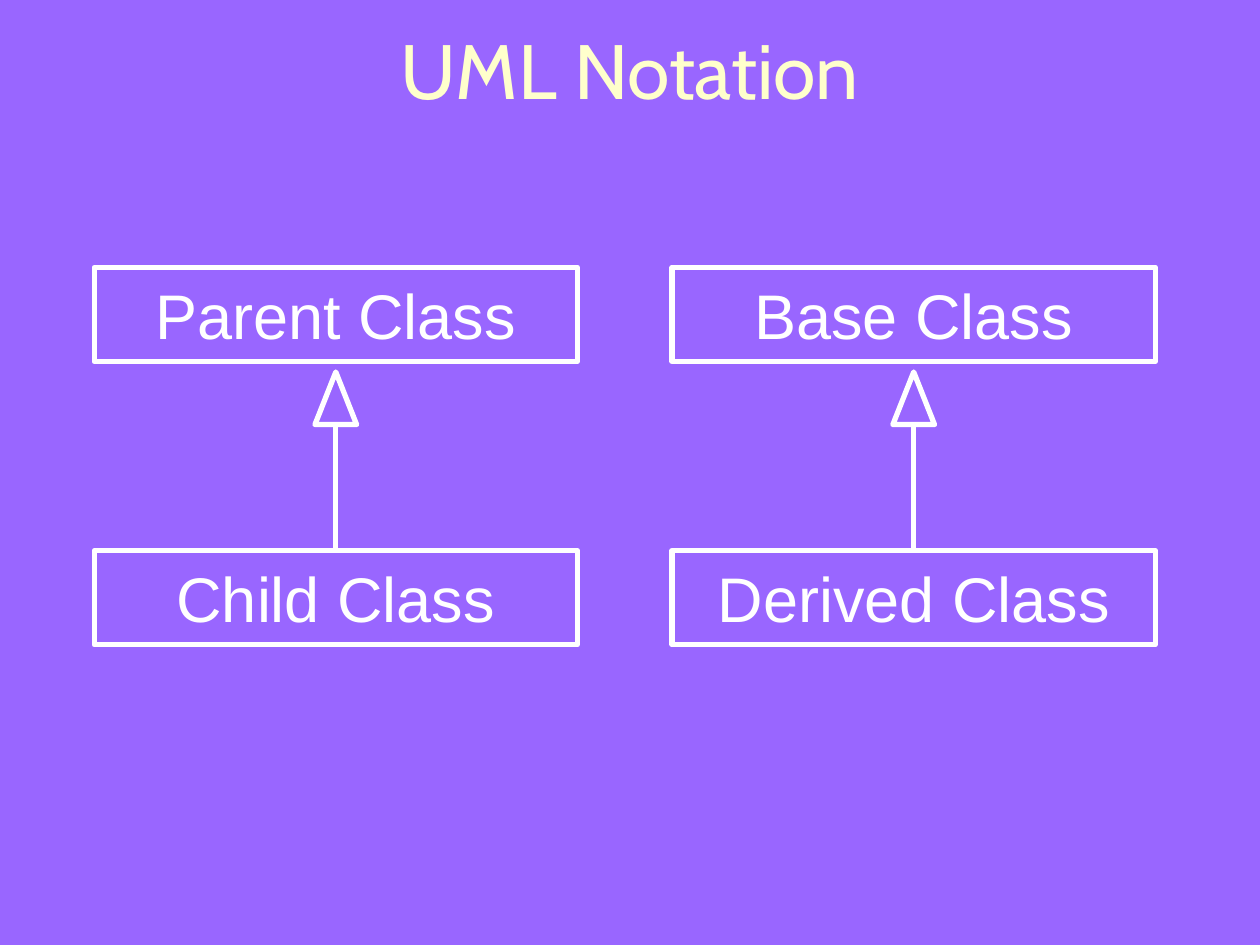
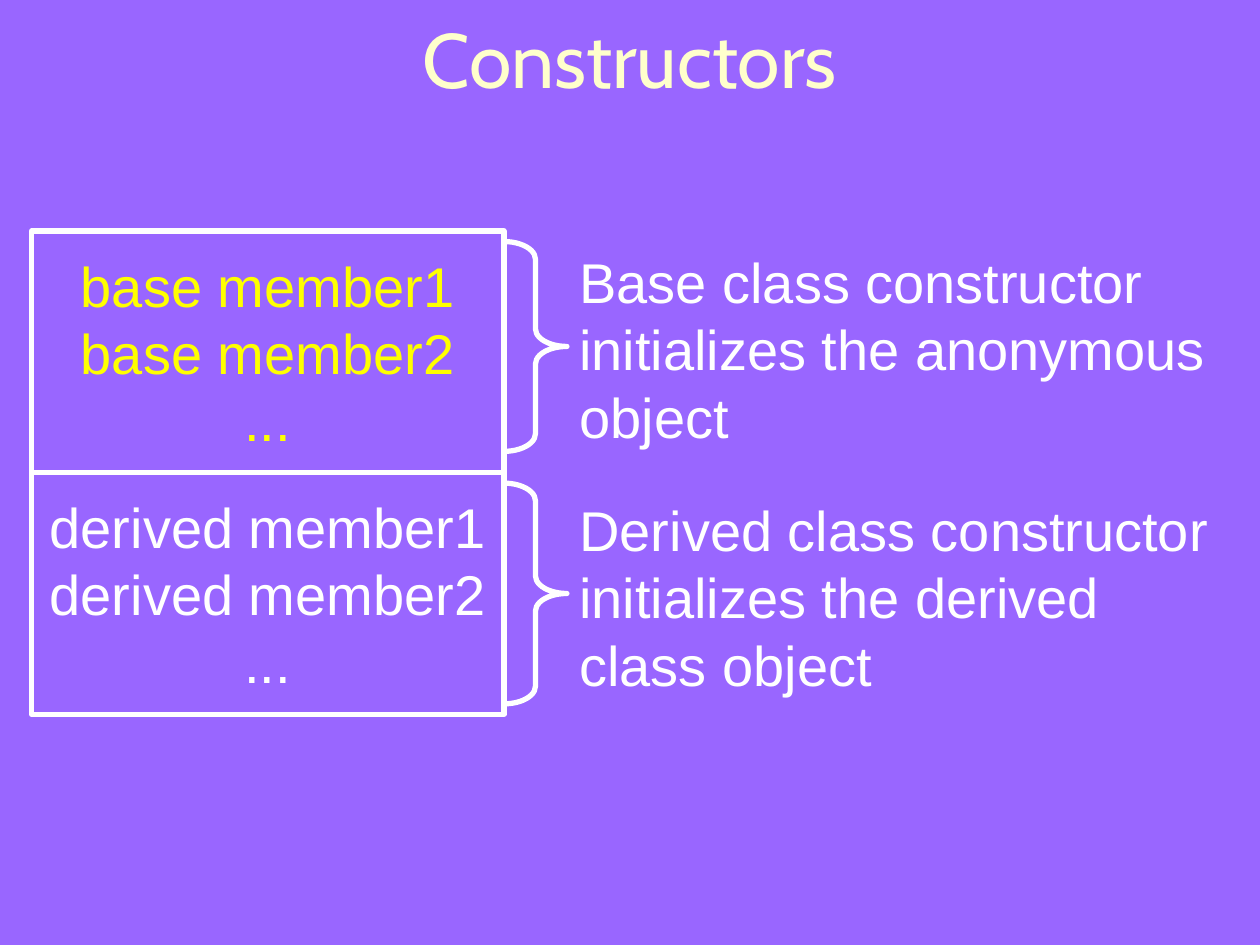
from dataclasses import dataclass

from pptx import Presentation
from pptx import util as u
from pptx.dml.color import RGBColor
from pptx.enum import shapes, text
from pptx.oxml.ns import qn
from lxml import etree

COLOURS = {"page": "9966FF", "title": "FFFFCC", "plain": "FFFFFF", "inherited": "FFFF00"}
BODY_FONT, TITLE_FONT = "Arial", "Cabin"
LINE_WIDTH = u.Pt(3)
CENTRE = text.PP_ALIGN.CENTER
LEFT = text.PP_ALIGN.LEFT


@dataclass
class Area:
    """A place on the slide, in centimetres."""
    left: float
    top: float
    width: float
    height: float

    def lengths(self) -> list:
        return [u.Cm(n) for n in (self.left, self.top, self.width, self.height)]


@dataclass
class Inheritance:
    ancestor: str
    descendant: str
    left: float


@dataclass
class MemberGroup:
    members: list[str]
    colour: str
    note: str
    box_top: float
    brace_top: float
    brace_height: float
    note_top: float


def colour(name: str) -> RGBColor:
    return RGBColor.from_string(COLOURS[name])


# Shared drawing
def write(box, lines: list[str], size: int, ink: str = "plain", align=CENTRE,
          font: str = BODY_FONT, wrap: bool = True, middle: bool = True) -> None:
    frame = box.text_frame
    frame.word_wrap = wrap
    frame.vertical_anchor = text.MSO_ANCHOR.MIDDLE if middle else text.MSO_ANCHOR.TOP
    for index, line in enumerate(lines):
        para = frame.paragraphs[0] if index == 0 else frame.add_paragraph()
        para.text = line
        para.alignment = align
        if font == BODY_FONT:
            para.line_spacing = u.Pt(1.2 * size)
        para.font.name = font
        para.font.size = u.Pt(size)
        para.font.color.rgb = colour(ink)


def add_outline(page, kind, area: Area):
    shape = page.shapes.add_shape(kind, *area.lengths())
    shape.shadow.inherit = False
    shape.fill.background()
    shape.line.color.rgb = colour("plain")
    shape.line.width = LINE_WIDTH
    return shape


def add_page(deck, title: str, title_top: float):
    page = deck.slides.add_slide(deck.slide_layouts[6])
    box = page.shapes.add_textbox(*Area(1.27, title_top, 22.86, 3.18).lengths())
    write(box, [title], 44, "title", font=TITLE_FONT)
    return page


# Class diagram
def add_inheritance(page, pair: Inheritance) -> None:
    width, height = 9.74, 1.9
    for name, top in ((pair.ancestor, 5.39), (pair.descendant, 11.1)):
        box = add_outline(page, shapes.MSO_SHAPE.RECTANGLE,
                          Area(pair.left, top, width, height))
        write(box, [name], 36, wrap=False)
    middle = pair.left + width / 2
    stem = page.shapes.add_connector(shapes.MSO_CONNECTOR.STRAIGHT, u.Cm(middle),
                                     u.Cm(11.05), u.Cm(middle), u.Cm(8.6))
    stem.line.color.rgb = colour("plain")
    stem.line.width = LINE_WIDTH
    etree.SubElement(stem.element.spPr, qn("a:effectLst"))
    head_width = 0.84
    add_outline(page, shapes.MSO_SHAPE.ISOSCELES_TRIANGLE,
                Area(middle - head_width / 2, 7.5, head_width, 1.06))


# Object layout with its constructors
def add_member_group(page, group: MemberGroup) -> None:
    note = page.shapes.add_textbox(*Area(11.43, group.note_top, 13.34, 4.32).lengths())
    write(note, [group.note], 32, align=LEFT, middle=False)
    brace = add_outline(page, shapes.MSO_SHAPE.RIGHT_BRACE,
                        Area(10.16, group.brace_top, 1.27, group.brace_height))
    brace.adjustments[0] = 0.28
    box = add_outline(page, shapes.MSO_SHAPE.RECTANGLE,
                      Area(0.64, group.box_top, 9.52, 4.87))
    write(box, group.members, 32, group.colour, wrap=False)


def main() -> None:
    deck = Presentation()
    deck.slide_width, deck.slide_height = u.Cm(25.4), u.Cm(19.05)
    backdrop = deck.slide_master.background.fill
    backdrop.solid()
    backdrop.fore_color.rgb = colour("page")

    page = add_page(deck, "UML Notation", -0.2)
    for pair in (Inheritance("Parent Class", "Child Class", 1.9),
                 Inheritance("Base Class", "Derived Class", 13.55)):
        add_inheritance(page, pair)

    page = add_page(deck, "Constructors", -0.42)
    for group in (
        MemberGroup(["base member1", "base member2", "..."], "inherited",
                    "Base class constructor initializes the anonymous object",
                    4.66, 4.87, 4.23, 4.87),
        MemberGroup(["derived member1", "derived member2", "..."], "plain",
                    "Derived class constructor initializes the derived class object",
                    9.53, 9.74, 4.45, 9.87),
    ):
        add_member_group(page, group)

    deck.save("out.pptx")


if __name__ == "__main__":
    main()
